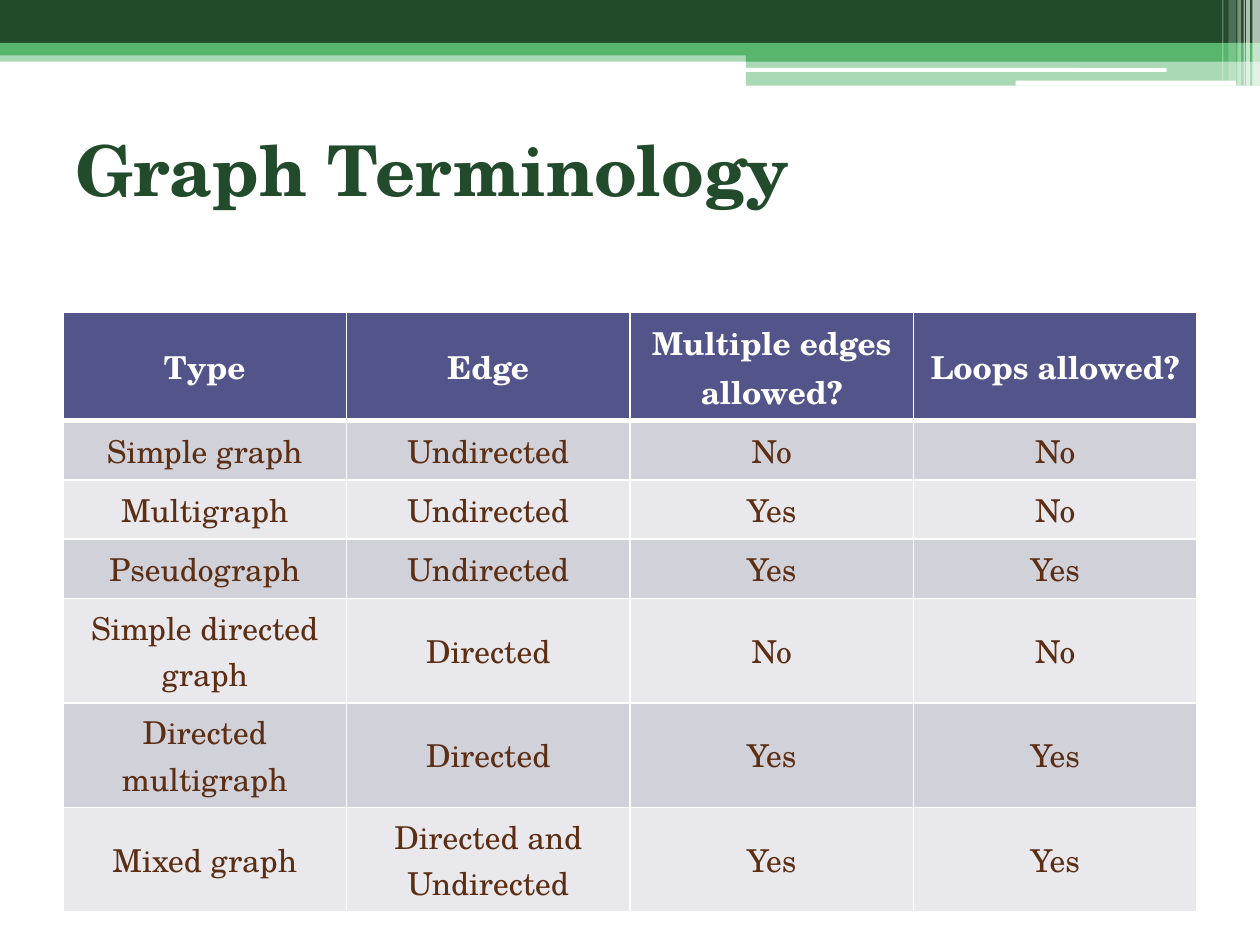
"""Build the graph terminology slide with its banner and comparison table."""
import pptx
import pptx.dml.color
import pptx.enum.shapes
import pptx.enum.text
import pptx.oxml
import pptx.oxml.ns
import pptx.util

Inches = pptx.util.Inches
Pt = pptx.util.Pt
RGBColor = pptx.dml.color.RGBColor
SHAPES = pptx.enum.shapes.MSO_SHAPE
MIDDLE = pptx.enum.text.MSO_ANCHOR.MIDDLE
CENTER = pptx.enum.text.PP_ALIGN.CENTER

WHITE = RGBColor(0xFF, 0xFF, 0xFF)
DARK_GREEN = RGBColor(0x21, 0x4B, 0x2B)
GREEN = RGBColor(0x57, 0xB5, 0x6D)
INDIGO = RGBColor(0x53, 0x54, 0x8A)
BROWN = RGBColor(0x5C, 0x2E, 0x14)
BANDS = (RGBColor(0xD1, 0xD1, 0xDA), RGBColor(0xE9, 0xE9, 0xED))

FONT = "TeX Gyre Schola"
TITLE_FORMAT = {"name": FONT, "size": Pt(40), "bold": True}
HEADER_FORMAT = {"name": FONT, "size": Pt(18), "bold": True}
BODY_FORMAT = {"name": FONT, "size": Pt(18), "bold": False}

BANNER_BARS = [
    (0, 0.4, 10, 0.09, GREEN, 50),
    (0, 0, 10, 0.34, DARK_GREEN, 100),
    (0, 0.34, 10, 0.1, GREEN, 100),
    (5.92, 0.39, 4.08, 0.1, GREEN, 100),
    (5.92, 0.48, 4.08, 0.2, GREEN, 50),
]
BANNER_SLITS = [(5.91, 0.54, 3.35, 0.03), (8.06, 0.64, 1.75, 0.04)]
BANNER_STRIPES = [
    (9.94, 0.06, 0.68, 65),
    (9.89, 0.03, 0.68, 65),
    (9.87, 0.01, 0.68, 60),
    (9.82, 0.03, 0.68, 40),
    (9.75, 0.06, 0.64, 20),
    (9.7, 0.01, 0.64, 30),
]
GRAPH_TYPES = [
    ("Type", "Edge", "Multiple edges allowed?", "Loops allowed?"),
    ("Simple graph", "Undirected", "No", "No"),
    ("Multigraph", "Undirected", "Yes", "No"),
    ("Pseudograph", "Undirected", "Yes", "Yes"),
    ("Simple directed graph", "Directed", "No", "No"),
    ("Directed multigraph", "Directed", "Yes", "Yes"),
    ("Mixed graph", "Directed and Undirected", "Yes", "Yes"),
]
ROW_HEIGHTS = [0.86] + [0.47] * 3 + [0.83] * 3


def add_bar(slide, left, top, width, height, color, opacity=100, kind=SHAPES.RECTANGLE):
    """Add one borderless banner bar with the given opacity in percent."""
    bar = slide.shapes.add_shape(
        kind, Inches(left), Inches(top), Inches(width), Inches(height))
    bar.shadow.inherit = False
    bar.line.fill.background()
    bar.fill.solid()
    bar.fill.fore_color.rgb = color
    if opacity < 100:
        paint = bar.fill._xPr.find(".//" + pptx.oxml.ns.qn("a:srgbClr"))
        alpha = pptx.oxml.parse_xml(
            f'<a:alpha {pptx.oxml.ns.nsdecls("a")} val="{opacity * 1000}"/>')
        paint.append(alpha)


def add_banner(slide):
    """Add the green banner, its white slits and its translucent stripes."""
    for bar in BANNER_BARS:
        add_bar(slide, *bar)
    for slit in BANNER_SLITS:
        add_bar(slide, *slit, WHITE, kind=SHAPES.ROUNDED_RECTANGLE)
    for left, width, height, opacity in BANNER_STRIPES:
        add_bar(slide, left, 0, width, height, WHITE, opacity)


def write_text(paragraph, text, text_format, color):
    """Write one formatted run into a paragraph."""
    run = paragraph.add_run()
    run.text = text
    for name, value in text_format.items():
        setattr(run.font, name, value)
    run.font.color.rgb = color


def add_title(slide, text):
    """Add the slide title."""
    title = slide.shapes.add_textbox(Inches(0.5), Inches(0.75), Inches(9), Inches(1.17))
    title.text_frame.word_wrap = True
    title.text_frame.vertical_anchor = MIDDLE
    write_text(title.text_frame.paragraphs[0], text, TITLE_FORMAT, DARK_GREEN)


def set_borders(cell, widths):
    """Draw white borders with the given width in points for each side."""
    for side, width in widths.items():
        border = pptx.oxml.parse_xml(
            f'<a:ln{side} {pptx.oxml.ns.nsdecls("a")} w="{Pt(width)}">'
            f'<a:solidFill><a:srgbClr val="{WHITE}"/></a:solidFill></a:ln{side}>')
        cell._tc.get_or_add_tcPr().append(border)


def fill_cell(cell, text, row_index):
    """Format and write one table cell according to its row."""
    is_header = row_index == 0
    set_borders(cell, {"L": 1, "R": 1, "T": 3 if row_index == 1 else 1,
                       "B": 3 if is_header else 1})
    cell.fill.solid()
    cell.fill.fore_color.rgb = INDIGO if is_header else BANDS[(row_index - 1) % 2]
    cell.vertical_anchor = MIDDLE
    paragraph = cell.text_frame.paragraphs[0]
    paragraph.alignment = CENTER
    write_text(paragraph, text, HEADER_FORMAT if is_header else BODY_FORMAT,
               WHITE if is_header else BROWN)


def add_comparison(slide, rows):
    """Add the table that compares the graph types."""
    comparison = slide.shapes.add_table(
        len(rows), len(rows[0]), Inches(0.5), Inches(2.48), Inches(9),
        Inches(sum(ROW_HEIGHTS))).table
    for row_index, (row, height) in enumerate(zip(rows, ROW_HEIGHTS)):
        comparison.rows[row_index].height = Inches(height)
        for column_index, text in enumerate(row):
            fill_cell(comparison.cell(row_index, column_index), text, row_index)


def main():
    """Build and save the slide."""
    deck = pptx.Presentation()
    deck.slide_width, deck.slide_height = Inches(10), Inches(7.5)
    slide = deck.slides.add_slide(deck.slide_layouts[6])
    add_banner(slide)
    add_title(slide, "Graph Terminology")
    add_comparison(slide, GRAPH_TYPES)
    deck.save("out.pptx")


if __name__ == "__main__":
    main()
